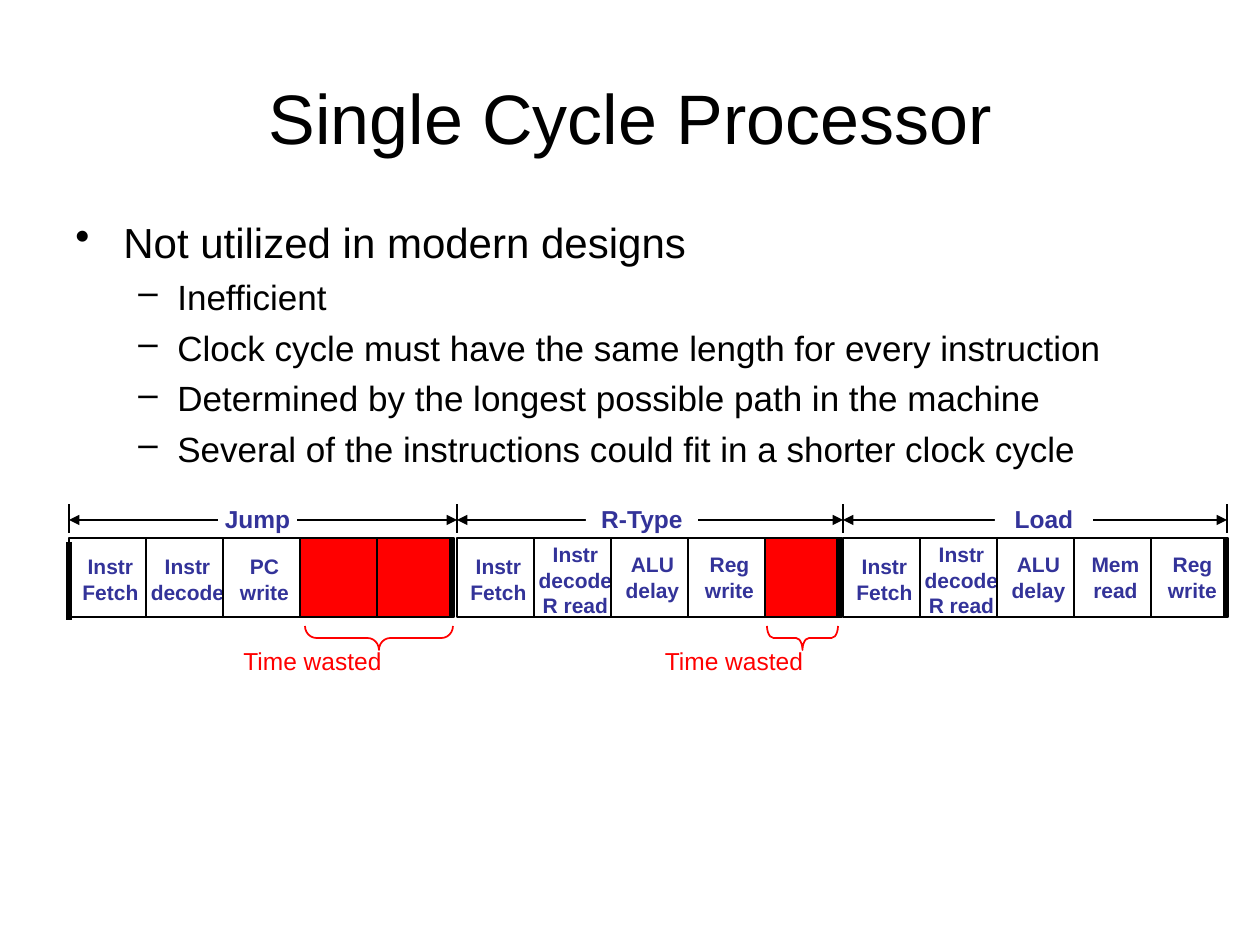
from dataclasses import dataclass

from lxml.etree import SubElement
from pptx import Presentation
from pptx.dml.color import RGBColor
from pptx.enum.shapes import MSO_CONNECTOR, MSO_SHAPE
from pptx.enum.text import MSO_ANCHOR, PP_ALIGN
from pptx.oxml.ns import qn
from pptx.util import Pt

TITLE = "Single Cycle Processor"
BULLETS = [  # level, text
    (0, "Not utilized in modern designs"),
    (1, "Inefficient"),
    (1, "Clock cycle must have the same length for every instruction"),
    (1, "Determined by the longest possible path in the machine"),
    (1, "Several of the instructions could fit in a shorter clock cycle"),
]
FETCH, DECODE, DECODE_READ = "Instr\nFetch", "Instr decode", "Instr decode R read"
# instruction, label left and width, steps (None is wasted time)
CYCLES = [
    ("Jump", 218, 79, [FETCH, DECODE, "PC write", None, None]),
    ("R-Type", 586, 112, [FETCH, DECODE_READ, "ALU delay", "Reg write", None]),
    ("Load", 995, 98, [FETCH, DECODE_READ, "ALU delay", "Mem read", "Reg write"]),
]
# brace left and width, corner radius, caption left and width
WASTES = [(305, 148, 0.48, 220, 185), (767, 71, 0.27, 650, 168)]

CYCLE_EDGES = [69, 457, 843, 1227]
BARS = [(69, 542), (452, 538), (839, 538), (1226, 538)]  # x, top
STEP_W, STEP_TOP, STEP_H = 77, 538, 79
TICK_TOP, TICK_H, ARROW_Y = 504, 29, 520
BRACE_TOP, BRACE_H, CAPTION_TOP = 626, 24, 646
# width and top of the label of a step
LABEL_BOXES = {FETCH: (66, 554), DECODE: (83, 554), "PC write": (66, 554),
               DECODE_READ: (88, 542)}
DEFAULT_LABEL_BOX = (66, 552)
LABEL_SHIFT = 3


@dataclass(frozen=True)
class Theme:
    font: str = "Arial"
    ink: RGBColor = RGBColor(0, 0, 0)
    paper: RGBColor = RGBColor(255, 255, 255)
    label: RGBColor = RGBColor(0x33, 0x33, 0x99)
    waste: RGBColor = RGBColor(255, 0, 0)
    title_size: int = 40
    body_sizes: tuple = (24, 20)
    name_size: int = 14
    step_size: int = 12


THEME = Theme()


def px(*lengths):
    """Turn pixels (126 to the inch) into EMU."""
    return [round(length * 914400 / 126) for length in lengths]


def style(para, size, color, bold=False, align=PP_ALIGN.CENTER):
    font = para.font
    font.name, font.size, font.bold = THEME.font, Pt(size), bold
    font.color.rgb = color
    para.alignment = align


def write(shape, text, size, color, bold=False, anchor=MSO_ANCHOR.MIDDLE):
    """Fill a shape with centred text that has no margins."""
    frame = shape.text_frame
    frame.word_wrap = True
    frame.vertical_anchor = anchor
    frame.margin_left = frame.margin_right = 0
    frame.margin_top = frame.margin_bottom = 0
    frame.text = text
    for para in frame.paragraphs:
        style(para, size, color, bold)


def add_line(page, x1, y1, x2, y2, width=1, arrows=False):
    line = page.shapes.add_connector(MSO_CONNECTOR.STRAIGHT, *px(x1, y1, x2, y2))
    line.line.color.rgb = THEME.ink
    line.line.width = Pt(width)
    if arrows:
        for end in ("a:headEnd", "a:tailEnd"):
            SubElement(line.line._get_or_add_ln(), qn(end), type="triangle")
    SubElement(line._element.spPr, qn("a:effectLst"))


def add_form(page, kind, left, top, width, height, fill=None, outline=None):
    shape = page.shapes.add_shape(kind, *px(left, top, width, height))
    shape.shadow.inherit = False
    if fill is None:
        shape.fill.background()
    else:
        shape.fill.solid()
        shape.fill.fore_color.rgb = fill
    if outline is None:
        shape.line.fill.background()
    else:
        shape.line.color.rgb = outline
        shape.line.width = Pt(1)
    return shape


def add_title(page):
    title = page.shapes.title
    title.left, title.top, title.width, title.height = px(63, 38, 1134, 157)
    title.text_frame.text = TITLE
    title.text_frame.vertical_anchor = MSO_ANCHOR.MIDDLE
    style(title.text_frame.paragraphs[0], THEME.title_size, THEME.ink)


def add_bullets(page):
    levels = [("•", 48, 48, 6), ("–", 102, 39, 5)]  # mark, indent, hang, space
    frame = page.shapes.add_textbox(*px(63, 210, 1134, 634)).text_frame
    frame.word_wrap = True
    frame.text = "\n".join(text for _, text in BULLETS)
    for para, (level, _) in zip(frame.paragraphs, BULLETS):
        mark, indent, hang, space = levels[level]
        style(para, THEME.body_sizes[level], THEME.ink, align=PP_ALIGN.LEFT)
        para.level = level
        para.space_before = Pt(space)
        props = para._p.get_or_add_pPr()
        left, first = px(indent, -hang)
        props.set("marL", str(left))
        props.set("indent", str(first))
        bullet = props.makeelement(qn("a:buChar"), {"char": mark})
        props.insert_element_before(bullet, "a:tabLst", "a:defRPr", "a:extLst")


def add_step(page, left, text):
    fill = None if text else THEME.waste
    add_form(page, MSO_SHAPE.RECTANGLE, left, STEP_TOP, STEP_W, STEP_H, fill, THEME.ink)
    if text:
        width, top = LABEL_BOXES.get(text, DEFAULT_LABEL_BOX)
        label_left = left + (STEP_W - width) / 2 + LABEL_SHIFT
        height = 76 if text == DECODE_READ else 50
        box = page.shapes.add_textbox(*px(label_left, top, width, height))
        write(box, text, THEME.step_size, THEME.label, True, MSO_ANCHOR.TOP)


def add_cycles(page):
    for x in CYCLE_EDGES:
        add_line(page, x, TICK_TOP, x, TICK_TOP + TICK_H)
    for (name, left, width, steps), start, end in zip(CYCLES, CYCLE_EDGES, CYCLE_EDGES[1:]):
        add_line(page, start, ARROW_Y, end, ARROW_Y, arrows=True)
        label = add_form(page, MSO_SHAPE.RECTANGLE, left, TICK_TOP, width, TICK_H, THEME.paper)
        write(label, name, THEME.name_size, THEME.label, True)
        for index, text in enumerate(steps):
            add_step(page, start + index * STEP_W, text)
    for x, top in BARS:
        add_line(page, x, top, x, top + 78, width=3)


def add_wastes(page):
    for left, width, radius, caption_left, caption_width in WASTES:
        # The brace is laid out upright about its centre, then turned to point down
        brace = add_form(page, MSO_SHAPE.LEFT_BRACE,
                         left + (width - BRACE_H) / 2, BRACE_TOP + (BRACE_H - width) / 2,
                         BRACE_H, width, outline=THEME.waste)
        brace.adjustments[0] = radius
        brace.rotation = 270
        caption = page.shapes.add_textbox(*px(caption_left, CAPTION_TOP, caption_width, 29))
        write(caption, "Time wasted", THEME.name_size, THEME.waste)


def main():
    deck = Presentation()
    deck.slide_width, deck.slide_height = px(1260, 945)
    page = deck.slides.add_slide(deck.slide_layouts[5])
    add_title(page)
    add_bullets(page)
    add_cycles(page)
    add_wastes(page)
    deck.save("out.pptx")


if __name__ == "__main__":
    main()
